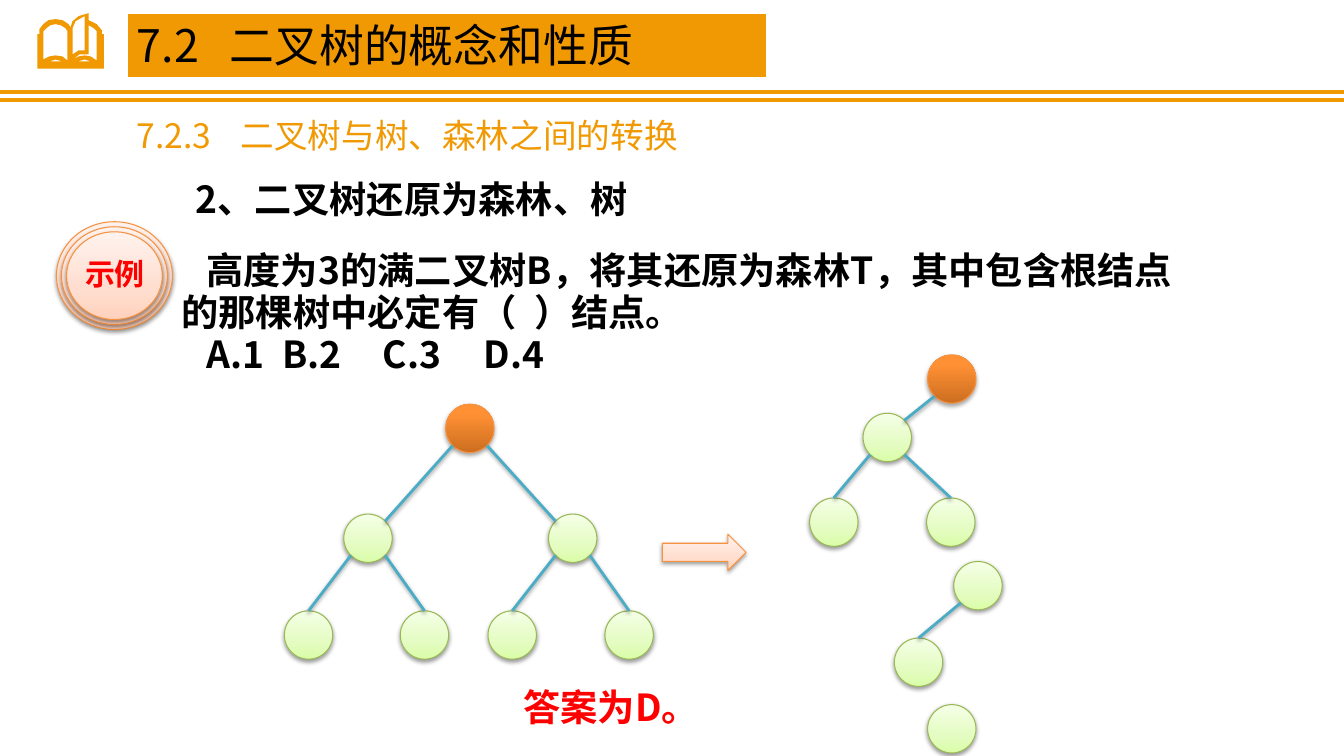
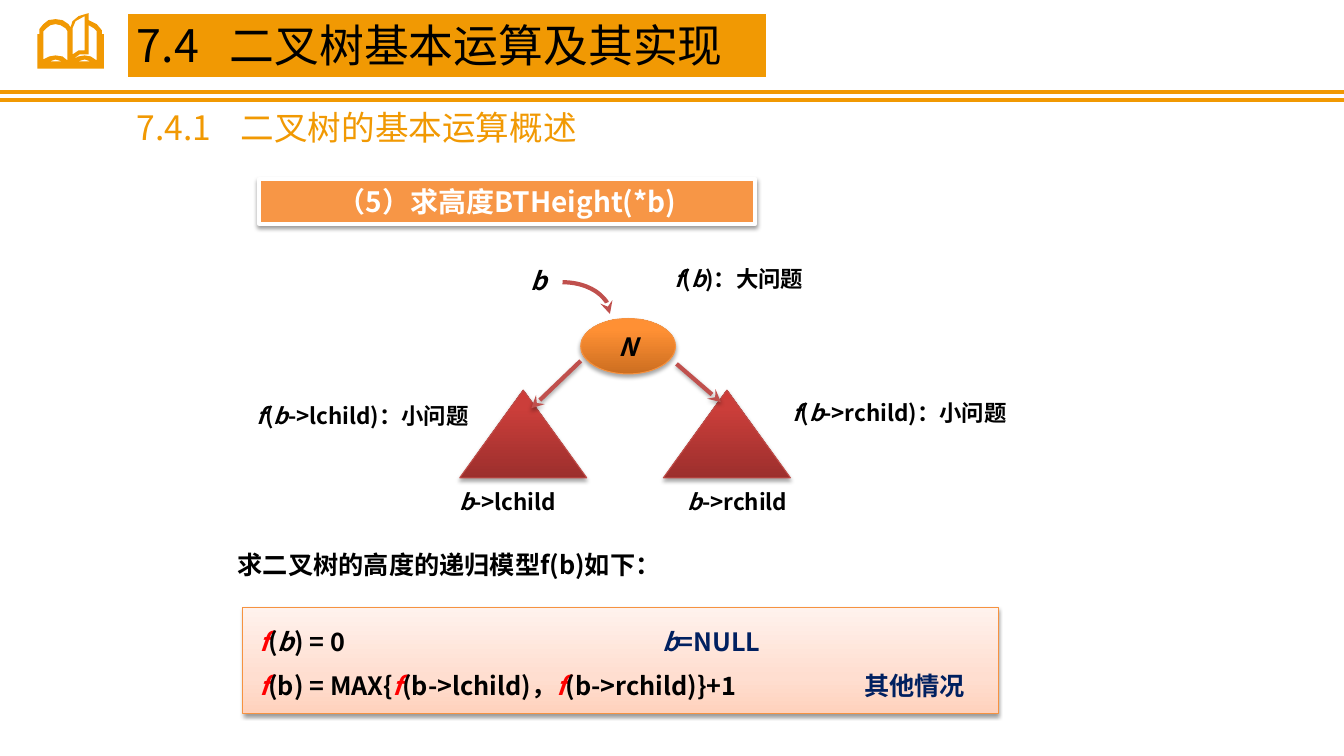
from pptx import Presentation
from pptx.dml.color import RGBColor
from pptx.enum.shapes import MSO_CONNECTOR, MSO_SHAPE
from pptx.enum.text import MSO_ANCHOR, PP_ALIGN
from pptx.oxml import parse_xml
from pptx.oxml.ns import nsdecls, qn
from pptx.util import Pt

PX = 9144  # EMU in one px, 100 px to the inch
WIDTH, HEIGHT = 1333, 750


class Theme:
    font = "Noto Sans CJK SC"
    accent, black, white = "F19903", "000000", "FFFFFF"
    red, navy, blue, brick, orange = "FF0000", "002060", "4BACC6", "C0504D", "F79646"
    title, subtitle, body, badge = 32, 24, 26.6, 21.4
    banner, formula, label = 20, 18, 16
    soft_shadow, strong_shadow = (38, 1.6), (35, 1.8)  # opacity %, distance pt
    # gradient stops from bottom to top, line colour, shadow
    root = ([(0, "CC6E20"), (80, "FF9034"), (100, "FF9136")], "F69240", strong_shadow)
    subtree = ([(0, "9C2F2D"), (80, "CB3E3A"), (100, "CE3B37")], "BF4C48", strong_shadow)
    node = ([(0, "DAFDA7"), (35, "E4FCC2"), (100, "F5FFE7")], "98B955", soft_shadow)
    panel = ([(0, "FFD2BD"), (35, "FFDED0"), (100, "FFF2ED")], "F69240", soft_shadow)


# Shared content: book icon outlines, the first is the body, the others are holes
BOOK = [
    [(101, 34), (101, 30), (96, 24), (88, 20), (88, 13), (78, 16), (72, 21), (70, 27),
     (68, 24), (62, 20), (55, 19), (48, 20), (43, 24), (39, 29), (39, 34), (37, 34),
     (37, 68), (103, 68), (103, 34)],
    [(67, 60), (62, 56), (55, 55), (49, 56), (43, 59), (43, 31), (46, 28), (50, 25),
     (55, 24), (60, 25), (65, 28), (67, 31)],
    [(84, 16), (84, 50), (78, 50), (72, 54), (72, 28), (75, 21)],
    [(96, 60), (90, 56), (84, 55), (78, 56), (72, 59), (79, 54), (88, 54), (88, 25),
     (93, 28), (96, 31)],
    [(49, 61), (55, 59), (62, 61)],
    [(77, 61), (84, 59), (90, 61)],
]
RULES = [91, 99]

# Conversion slide: nodes by name, children by parent
NODE_SIZE = 48
NODES = {
    "A": (442, 401), "B": (341, 510), "C": (544, 510), "D": (282, 606),
    "E": (397, 606), "F": (484, 606), "G": (600, 606),
    "A2": (920, 352), "B2": (856, 410), "D2": (803, 494), "E2": (919, 494),
    "C2": (946, 557), "F2": (887, 633), "G2": (920, 699),
}
ROOTS = {"A", "A2"}
CHILDREN = {"A": "B C", "B": "D E", "C": "F G", "A2": "B2", "B2": "D2 E2", "C2": "F2"}
QUESTION = [
    "高度为3的满二叉树B，将其还原为森林T，其中包含根结点的那棵树中必定有（\t）结点。",
    "A.1\tB.2\tC.3\tD.4",
]
QUESTION_TABS = [[393], [200, 400, 600]]

# Height slide: runs are (text, marks); i italic, r red, n navy
LABELS = [  # left, top, width, size, centred, runs
    (495, 258, 79, Theme.formula, True, [("b", "i")]),
    (409, 479, 189, Theme.label, True, [("b", "i"), ("->lchild", "")]),
    (637, 479, 189, Theme.label, True, [("b", "i"), ("->rchild", "")]),
    (659, 258, 188, Theme.label, False,
     [("f", "i"), ("(", ""), ("b", "i"), (")：大问题", "")]),
    (245, 394, 247, Theme.label, False,
     [("f", "i"), ("(", ""), ("b", "i"), ("->lchild)：小问题", "")]),
    (776, 391, 271, Theme.label, False,
     [("f", "i"), ("(", ""), ("b", "i"), ("->rchild)：小问题", "")]),
    (226, 540, 502, Theme.formula, False, [("求二叉树的高度的递归模型f(b)如下：", "")]),
]
MODEL = [
    [("f", "ir"), ("(", ""), ("b", "i"), (") = 0\t", ""), ("b", "in"), ("=NULL", "n")],
    [("f", "ir"), ("(b) = MAX{", ""), ("f", "ir"), ("(b->lchild)，", ""),
     ("f", "ir"), ("(b->rchild)}+1\t", ""), ("其他情况", "n")],
]
MODEL_TABS = [[400], [600]]
SUBTREES = [(456, 387), (658, 387)]
BRANCHES = [((576, 358), (527, 405)), ((671, 361), (715, 399))]


def px(*lengths):
    return [round(length * PX) for length in lengths]


def rgb(colour):
    return RGBColor.from_string(colour)


# Effects that need XML
def effect_list(shadow=None):
    outer = ""
    if shadow:
        opacity, distance = shadow
        outer = (f'<a:outerShdw blurRad="{Pt(3.1)}" dist="{Pt(distance)}" dir="5400000" '
                 f'rotWithShape="0"><a:srgbClr val="{Theme.black}">'
                 f'<a:alpha val="{opacity * 1000}"/></a:srgbClr></a:outerShdw>')
    return parse_xml(f'<a:effectLst {nsdecls("a")}>{outer}</a:effectLst>')


def set_shadow(shape, shadow=None):
    properties = shape._element.spPr
    for old in properties.findall(qn("a:effectLst")):
        properties.remove(old)
    properties.append(effect_list(shadow))


def gradient_fill(stops):
    marks = "".join(f'<a:gs pos="{position * 1000}"><a:srgbClr val="{colour}"/></a:gs>'
                    for position, colour in stops)
    return parse_xml(f'<a:gradFill {nsdecls("a")} rotWithShape="1"><a:gsLst>{marks}</a:gsLst>'
                     '<a:lin ang="16200000" scaled="0"/></a:gradFill>')


def add_arrowhead(shape):
    shape.line._get_or_add_ln().append(
        parse_xml(f'<a:tailEnd {nsdecls("a")} type="stealth"/>'))


# Text
def set_tabs(paragraph, stops):
    tabs = "".join(f'<a:tab pos="{stop * PX}" algn="l"/>' for stop in stops)
    paragraph._p.get_or_add_pPr().append(
        parse_xml(f'<a:tabLst {nsdecls("a")}>{tabs}</a:tabLst>'))


def add_run(paragraph, text, size, colour, bold, marks=""):
    run = paragraph.add_run()
    run.text = text
    font = run.font
    font.size, font.bold, font.italic = Pt(size), bold, "i" in marks
    colour = Theme.red if "r" in marks else Theme.navy if "n" in marks else colour
    font.color.rgb = rgb(colour)
    font.name = Theme.font
    font._element.find(qn("a:latin")).addnext(
        parse_xml(f'<a:ea {nsdecls("a")} typeface="{Theme.font}"/>'))
    return run


def write(shape, paragraphs, size, colour=Theme.black, bold=True, centred=False,
          tabs=(), insets=(10, 5), wrap=True):
    frame = shape.text_frame
    frame.word_wrap = wrap
    frame.vertical_anchor = MSO_ANCHOR.TOP
    frame.margin_left = frame.margin_right = insets[0] * PX
    frame.margin_top = frame.margin_bottom = insets[1] * PX
    for index, runs in enumerate(paragraphs):
        paragraph = frame.add_paragraph() if index else frame.paragraphs[0]
        paragraph.alignment = PP_ALIGN.CENTER if centred else PP_ALIGN.LEFT
        if tabs:
            set_tabs(paragraph, tabs[index])
        for text, marks in runs:
            add_run(paragraph, text, size, colour, bold, marks)
    return frame


def add_text(slide, box, paragraphs, size, **options):
    return write(slide.shapes.add_textbox(*px(*box)), paragraphs, size, **options)


# Shapes
def add_plain(slide, kind, box, fill, line, line_width, shadow=None):
    shape = slide.shapes.add_shape(kind, *px(*box))
    shape.fill.solid()
    shape.fill.fore_color.rgb = rgb(fill)
    shape.line.color.rgb = rgb(line)
    shape.line.width = Pt(line_width)
    set_shadow(shape, shadow)
    return shape


def add_glossy(slide, kind, box, look):
    stops, line, shadow = look
    shape = add_plain(slide, kind, box, stops[0][1], line, 0.75, shadow)
    solid = shape._element.spPr.find(qn("a:solidFill"))
    solid.getparent().replace(solid, gradient_fill(stops))
    return shape


def add_line(slide, start, end, colour, width, shadow=None):
    line = slide.shapes.add_connector(MSO_CONNECTOR.STRAIGHT, *px(*start, *end))
    line.line.color.rgb = rgb(colour)
    line.line.width = Pt(width)
    set_shadow(line, shadow)
    return line


def add_frame_slide(presentation, title, subtitle, subtitle_top):
    slide = presentation.slides.add_slide(presentation.slide_layouts[6])
    for y in RULES:
        add_line(slide, (0, y), (WIDTH, y), Theme.accent, 3)
    # Book icon
    builder = slide.shapes.build_freeform(*BOOK[0][0], scale=PX)
    for index, outline in enumerate(BOOK):
        if index:
            builder.move_to(*outline[0])
        builder.add_line_segments(outline[1:], close=True)
    book = builder.convert_to_shape()
    book.fill.solid()
    book.fill.fore_color.rgb = rgb(Theme.accent)
    book.line.fill.background()
    set_shadow(book)
    # Title band and subtitle
    band = add_plain(slide, MSO_SHAPE.RECTANGLE, (126, 13, 634, 64),
                     Theme.accent, Theme.white, 0.75)
    write(band, [[(title, "")]], Theme.title, bold=False, tabs=[[92]])
    add_text(slide, (126, subtitle_top, 633, 50), [[(subtitle, "")]], Theme.subtitle,
             colour=Theme.accent, bold=False, tabs=[[103]])
    return slide


def add_trees(slide):
    circles = {name: add_glossy(slide, MSO_SHAPE.OVAL, (x, y, NODE_SIZE, NODE_SIZE),
                                Theme.root if name in ROOTS else Theme.node)
               for name, (x, y) in NODES.items()}
    near, far = 7, NODE_SIZE - 7  # where the diagonals cross a circle
    for parent, children in CHILDREN.items():
        for child in children.split():
            (x, y), (child_x, child_y) = NODES[parent], NODES[child]
            leaving, arriving = (near, far) if child_x < x else (far, near)
            edge = add_line(slide, (x + leaving, y + far),
                            (child_x + arriving, child_y + near),
                            Theme.blue, 2, Theme.soft_shadow)
            if child not in CHILDREN:
                edge.end_connect(circles[child], 0)


def build_conversion_slide(presentation):
    slide = add_frame_slide(presentation, "7.2\t二叉树的概念和性质",
                            "7.2.3\t二叉树与树、森林之间的转换", 109)
    add_text(slide, (151, 170, 515, 55), [[("2、二叉树还原为森林、树", "")]],
             Theme.body, centred=True)
    # Question and answer
    frame = add_text(slide, (170, 243, 1037, 136), [[(line, "")] for line in QUESTION],
                     Theme.body, tabs=QUESTION_TABS)
    for paragraph in frame.paragraphs:
        paragraph.line_spacing = Pt(30)
        paragraph._p.get_or_add_pPr().set("indent", str(25 * PX))
    add_text(slide, (509, 674, 240, 55), [[("答案为D。", "")]], Theme.body, colour=Theme.red)
    add_trees(slide)
    add_glossy(slide, MSO_SHAPE.RIGHT_ARROW, (657, 530, 83, 36), Theme.panel)
    # Badge of three rings
    for step in range(3):
        inset = 5 * step
        add_glossy(slide, MSO_SHAPE.OVAL,
                   (56 + inset, 220 + inset, 115 - 2 * inset, 107 - 2 * inset), Theme.panel)
    badge = add_text(slide, (68, 249, 92, 46), [[("示例", "")]], Theme.badge,
                     colour=Theme.red, centred=True)
    fill = badge.paragraphs[0].runs[0].font._element.find(qn("a:solidFill"))
    fill.addnext(effect_list(Theme.soft_shadow))


def build_height_slide(presentation):
    slide = add_frame_slide(presentation, "7.4\t二叉树基本运算及其实现",
                            "7.4.1\t二叉树的基本运算概述", 101)
    banner = add_plain(slide, MSO_SHAPE.RECTANGLE, (257, 178, 492, 44),
                       Theme.orange, Theme.white, 3, Theme.soft_shadow)
    write(banner, [[("（5）求高度BTHeight(*b)", "")]], Theme.banner,
          colour=Theme.white, centred=True)
    # Root, subtrees and arrows
    root = add_glossy(slide, MSO_SHAPE.OVAL, (576, 316, 94, 55), Theme.root)
    frame = write(root, [[("N", "i")]], Theme.formula, centred=True, wrap=False)
    frame.vertical_anchor = MSO_ANCHOR.MIDDLE
    pointer = slide.shapes.add_shape(MSO_SHAPE.ARC, *px(511, 280, 94, 63))
    pointer.fill.background()
    pointer.line.color.rgb = rgb(Theme.brick)
    pointer.line.width = Pt(3)
    set_shadow(pointer)
    add_arrowhead(pointer)
    for x, y in SUBTREES:
        add_glossy(slide, MSO_SHAPE.ISOSCELES_TRIANGLE, (x, y, 126, 87), Theme.subtree)
    for start, end in BRANCHES:
        add_arrowhead(add_line(slide, start, end, Theme.brick, 3, Theme.strong_shadow))
    # Labels
    for left, top, width, size, centred, runs in LABELS:
        add_text(slide, (left, top, width, 40), [runs], size, centred=centred)
    # Recursive model
    panel = add_glossy(slide, MSO_SHAPE.RECTANGLE, (241, 603, 749, 105), Theme.panel)
    frame = write(panel, MODEL, Theme.formula, tabs=MODEL_TABS, insets=(16, 12))
    for index, paragraph in enumerate(frame.paragraphs):
        paragraph.line_spacing = 1.2
        paragraph.space_before = Pt(6 * index)


def main():
    presentation = Presentation()
    presentation.slide_width, presentation.slide_height = px(WIDTH, HEIGHT)
    build_conversion_slide(presentation)
    build_height_slide(presentation)
    presentation.save("out.pptx")


if __name__ == "__main__":
    main()
